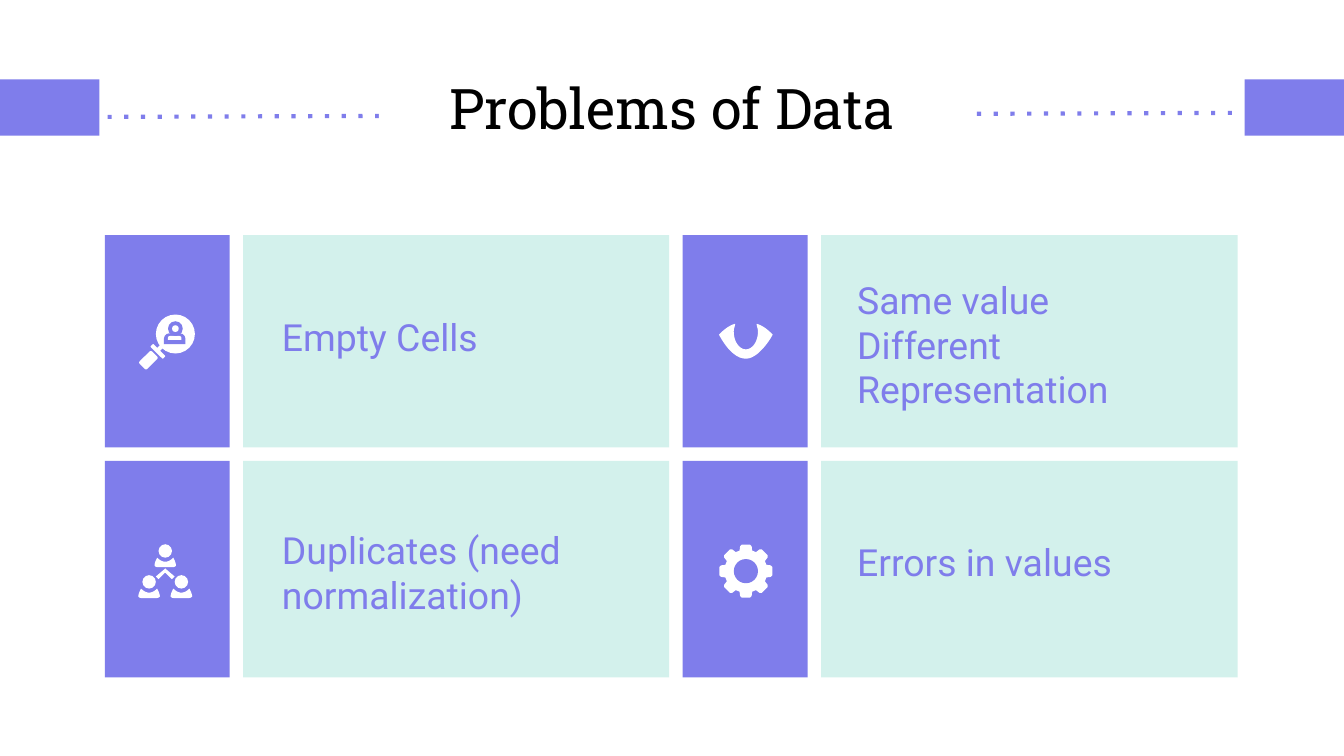
from dataclasses import dataclass
from math import cos, radians, sin

from lxml.etree import SubElement
from pptx import Presentation
from pptx.dml.color import RGBColor
from pptx.enum.shapes import MSO_CONNECTOR, MSO_SHAPE as Preset
from pptx.enum.text import MSO_ANCHOR as Anchor, PP_ALIGN as Align
from pptx.oxml.ns import qn
from pptx.util import Inches, Pt


@dataclass(frozen=True)
class Theme:
    violet: str = "7F7DEB"
    mint: str = "89DBCC"
    white: str = "FFFFFF"
    black: str = "000000"
    mint_alpha: int = 37000
    title_font: str = "Roboto Slab"
    label_font: str = "Roboto"
    title_size: int = 30
    label_size: int = 20


theme = Theme()
presentation = Presentation()
presentation.slide_width = Inches(10)
presentation.slide_height = Inches(10 * 9 / 16)
slide = presentation.slides.add_slide(presentation.slide_layouts[6])


def add_block(preset, left, top, width, height, color, rotation=0):
    shape = slide.shapes.add_shape(preset, *map(Inches, (left, top, width, height)))
    shape.shadow.inherit = False
    shape.fill.solid()
    shape.fill.fore_color.rgb = RGBColor.from_string(color)
    shape.line.fill.background()
    shape.rotation = rotation
    return shape


def add_outline(center_x, center_y, start, *segments):
    """Fill a white outline around a centre; a segment is a line (1 point) or a cubic curve (3)."""
    points = [start]
    for segment in segments:
        if len(segment) == 1:
            points.append(segment[0])
            continue
        first, (second, third, fourth) = points[-1], segment
        for step in range(1, 13):
            t = step / 12
            points.append(tuple(
                (1 - t) ** 3 * a + 3 * t * (1 - t) ** 2 * b + 3 * t * t * (1 - t) * c + t ** 3 * d
                for a, b, c, d in zip(first, second, third, fourth)))
    placed = [(Inches(center_x + x), Inches(center_y + y)) for x, y in points]
    builder = slide.shapes.build_freeform(*placed[0])
    builder.add_line_segments(placed[1:], close=True)
    shape = builder.convert_to_shape()
    shape.shadow.inherit = False
    shape.fill.solid()
    shape.fill.fore_color.rgb = RGBColor.from_string(theme.white)
    shape.line.fill.background()


# Header: side bars, dotted rule and title
for left in (-0.01, 9.26):
    add_block(Preset.RECTANGLE, left, 0.59, 0.75, 0.42, theme.violet)

rule = slide.shapes.add_connector(
    MSO_CONNECTOR.STRAIGHT, *map(Inches, (0.8, 0.87, 9.2, 0.84)))
rule.line.color.rgb = RGBColor.from_string(theme.violet)
rule.line.width = Pt(2.25)
rule_properties = rule._element.spPr
SubElement(rule_properties.find(qn("a:ln")), qn("a:prstDash"), val="dot")
SubElement(rule_properties, qn("a:effectLst"))

title = add_block(Preset.RECTANGLE, 2.82, 0.59, 4.36, 0.41, theme.white)
texts = [(title, "Problems of Data", theme.title_font, theme.title_size,
          theme.black, Align.CENTER, Anchor.MIDDLE)]

# Grid: icon and panel columns alternate over two rows
gap = 0.1
column_widths = (0.93, 3.17, 0.93, 3.1)
row_heights = (1.58, 1.61)
column_lefts = [0.78 + sum(column_widths[:i]) + gap * i for i in range(4)]
row_tops = [1.75 + sum(row_heights[:i]) + gap * i for i in range(2)]

for top, height in zip(row_tops, row_heights):
    for column, (left, width) in enumerate(zip(column_lefts, column_widths)):
        is_panel = column % 2 == 1
        cell = add_block(Preset.RECTANGLE, left, top, width, height,
                         theme.mint if is_panel else theme.violet)
        if is_panel:
            color = cell._element.spPr.find(qn("a:solidFill"))[0]
            SubElement(color, qn("a:alpha"), val=str(theme.mint_alpha))

# Labels: column, row, indent and drop inside the panel
labels = [
    ("Empty Cells", 1, 0, 0.19, 0.49),
    ("Same value Different Representation", 3, 0, 0.17, 0.21),
    ("Duplicates (need normalization)", 1, 1, 0.19, 0.39),
    ("Errors in values", 3, 1, 0.17, 0.48),
]
for text, column, row, indent, drop in labels:
    box = slide.shapes.add_textbox(
        Inches(column_lefts[column] + indent), Inches(row_tops[row] + drop),
        Inches(2.7), Inches(0.65))
    texts.append((box, text, theme.label_font, theme.label_size,
                  theme.violet, Align.LEFT, Anchor.TOP))

for shape, text, font_name, size, color, alignment, anchor in texts:
    frame = shape.text_frame
    frame.text = text
    frame.word_wrap = True
    frame.vertical_anchor = anchor
    frame.margin_left = frame.margin_right = Inches(0.1)
    frame.margin_top = frame.margin_bottom = Inches(0.1)
    paragraph = frame.paragraphs[0]
    paragraph.alignment = alignment
    font = paragraph.runs[0].font
    font.name, font.size = font_name, Pt(size)
    font.color.rgb = RGBColor.from_string(color)

# Magnifier with a person in the lens
add_block(Preset.OVAL, 1.16, 2.34, 0.29, 0.29, theme.white)
for left, top, width, height, color in ((1.22, 2.48, 0.16, 0.08, theme.violet),
                                        (1.25, 2.5, 0.1, 0.03, theme.white)):
    shoulders = add_block(Preset.ROUND_2_SAME_RECTANGLE, left, top, width, height, color)
    shoulders.adjustments[0] = 0.5
add_block(Preset.OVAL, 1.25, 2.39, 0.11, 0.11, theme.violet)
add_block(Preset.OVAL, 1.28, 2.42, 0.05, 0.05, theme.white)
add_block(Preset.ROUNDED_RECTANGLE, 1.11, 2.6, 0.13, 0.03, theme.white, 45)
add_block(Preset.RECTANGLE, 1.16, 2.58, 0.05, 0.03, theme.white, -45)
add_block(Preset.ROUNDED_RECTANGLE, 1.04, 2.64, 0.13, 0.08, theme.white, -45)

# Eye
add_outline(5.55, 2.49, (-0.08, -0.08),
            [(-0.12, -0.07), (-0.16, -0.04), (-0.2, 0)],
            [(-0.18, 0.04), (-0.1, 0.18), (0, 0.18)],
            [(0.09, 0.18), (0.18, 0.04), (0.2, 0)],
            [(0.16, -0.04), (0.12, -0.07), (0.08, -0.08)],
            [(0.08, -0.06), (0.09, -0.05), (0.09, -0.02)],
            [(0.09, 0.05), (0.05, 0.11), (0, 0.11)],
            [(-0.05, 0.11), (-0.09, 0.05), (-0.09, -0.02)],
            [(-0.09, -0.05), (-0.08, -0.06), (-0.08, -0.08)])

# Three linked people
for center_x, center_y in ((1.23, 4.1), (1.11, 4.33), (1.35, 4.33)):
    add_block(Preset.OVAL, center_x - 0.05, center_y - 0.05, 0.1, 0.1, theme.white)
    add_outline(center_x, center_y, (-0.06, 0.05),
                [(-0.07, 0.07), (-0.08, 0.09), (-0.08, 0.11)],
                [(-0.08, 0.11), (-0.07, 0.12), (-0.06, 0.12)],
                [(0.06, 0.12)],
                [(0.07, 0.12), (0.08, 0.11), (0.08, 0.11)],
                [(0.08, 0.09), (0.07, 0.07), (0.06, 0.05)],
                [(0.04, 0.07), (0.02, 0.08), (0, 0.08)],
                [(-0.02, 0.08), (-0.04, 0.07), (-0.06, 0.05)])
add_outline(1.23, 4.23, (0, 0), [(0.07, 0.06)], [(0.05, 0.08)],
            [(0, 0.03)], [(-0.05, 0.08)], [(-0.07, 0.06)])

# Gear with eight teeth
gear_points = [
    (radius * cos(radians(45 * tooth + angle)), radius * sin(radians(45 * tooth + angle)))
    for tooth in range(8)
    for angle, radius in ((-17, 0.16), (-13, 0.19), (-9, 0.2), (9, 0.2), (13, 0.19), (17, 0.16))
]
add_outline(5.55, 4.25, gear_points[0], *([point] for point in gear_points[1:]))
add_block(Preset.OVAL, 5.46, 4.16, 0.18, 0.18, theme.violet)

presentation.save("out.pptx")
